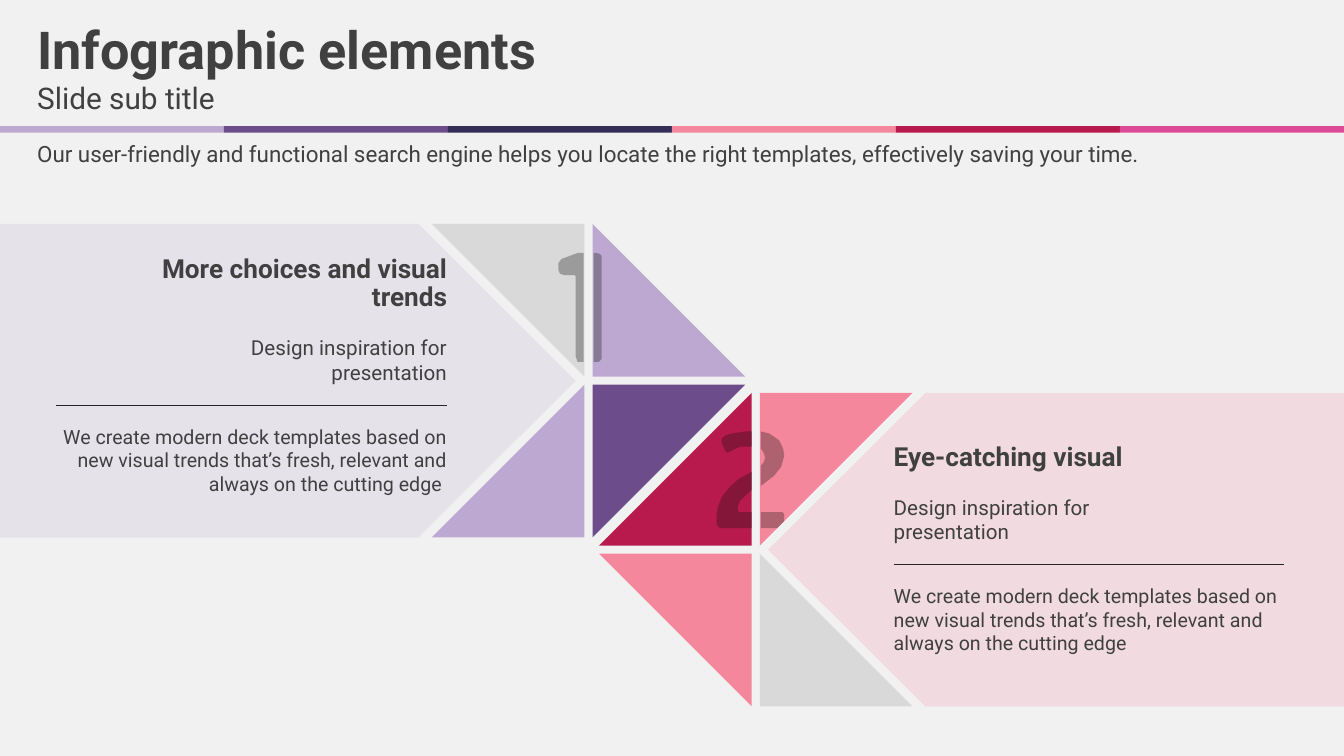
from dataclasses import dataclass

from lxml import etree
from pptx import Presentation
from pptx import util as u
from pptx.dml.color import RGBColor
from pptx.enum import shapes, text
from pptx.oxml.ns import qn


@dataclass(frozen=True)
class Theme:
    """Colours, type sizes and font of the slide."""
    font: str = "Roboto"
    paper: str = "F1F1F1"
    ink: str = "404040"
    rule: str = "262626"
    digit: str = "0D0D0D"
    grey: str = "D9D9D9"
    lilac: str = "BDA8D1"
    purple: str = "6C4C8B"
    navy: str = "342D57"
    pink: str = "F4879C"
    crimson: str = "B81A4D"
    magenta: str = "DC4997"
    title: float = 37.3
    subtitle: float = 21.3
    tagline: float = 16
    heading: float = 18.7
    lead: float = 14.7
    body: float = 14


T = Theme()
WIDTH, HEIGHT = 960, 540
SIDE, PITCH = 109, 114.8
LEFT, RIGHT = text.PP_ALIGN.LEFT, text.PP_ALIGN.RIGHT
TOP, MIDDLE = text.MSO_ANCHOR.TOP, text.MSO_ANCHOR.MIDDLE

ONE = [
    [(416.9, 180.7), (412.6, 180.7), (401, 185), (398.9, 187.9), (398.9, 193),
     (400, 195.5), (403.2, 196.6), (410.4, 196.6), (411.1, 197.3), (411.1, 254.2),
     (412.6, 258.5), (416.9, 258.5)],
    [(424.1, 180.7), (426.2, 180.7), (428.4, 181.4), (429.8, 182.9), (429.8, 256.3),
     (427.7, 258.5), (424.1, 258.5)],
]
TWO = [
    [(543.6, 365.8), (558.7, 365.8), (560.2, 367.2), (560.2, 372.2), (555.1, 377.3),
     (543.6, 377.3)],
    [(543.6, 308.2), (549.4, 309.6), (553.7, 312.5), (556.6, 314.6), (559.4, 320.4),
     (560.2, 325.4), (558, 333.4), (553, 339.8), (543.6, 347), (543.6, 332.6),
     (545.8, 329.8), (546.5, 326.9), (545.8, 324), (543.6, 320.4)],
    [(537.1, 337), (527.8, 342), (521.3, 347.8), (515.5, 355), (512.6, 362.9),
     (511.9, 367.9), (511.9, 374.4), (513.4, 376.6), (514.8, 377.3), (537.1, 377.3),
     (537.1, 365.8), (528.5, 365.8), (527, 365), (527, 361.4), (528.5, 357.8),
     (530.6, 355.7), (537.1, 349.9)],
    [(537.1, 308.2), (532.1, 308.2), (522.7, 309.6), (518.4, 311), (515.5, 313.2),
     (515.5, 316.1), (518.4, 322.6), (519.8, 323.3), (525.6, 320.4), (529.2, 319),
     (537.1, 319)],
]


def paint(sp, color, opacity=100):
    """Give a shape a plain fill without outline or shadow."""
    sp.fill.solid()
    sp.fill.fore_color.rgb = RGBColor.from_string(color)
    sp.line.fill.background()
    sp.shadow.inherit = False
    if opacity < 100:
        clr = sp._element.spPr.find(qn("a:solidFill"))[0]
        etree.SubElement(clr, qn("a:alpha")).set("val", str(opacity * 1000))


def add_outline(s, points, color, opacity=100):
    """Draw a closed polygon through points."""
    pts = [(u.Pt(x), u.Pt(y)) for x, y in points]
    fb = s.shapes.build_freeform(*pts[0], scale=1.0)
    fb.add_line_segments(pts[1:], close=True)
    paint(fb.convert_to_shape(), color, opacity)


def add_text(s, words, box, size, bold=False, align=LEFT, anchor=TOP, spacing=1.0):
    """Add a wrapped text box without insets."""
    tf = s.shapes.add_textbox(*map(u.Pt, box)).text_frame
    tf.word_wrap = True
    tf.vertical_anchor = anchor
    tf.margin_left = tf.margin_top = tf.margin_right = tf.margin_bottom = 0
    p = tf.paragraphs[0]
    p.text = words
    p.alignment = align
    p.line_spacing = spacing
    f = p.runs[0].font
    f.name, f.size, f.bold = T.font, u.Pt(size), bold
    f.color.rgb = RGBColor.from_string(T.ink)


def add_rule(s, x, y, width):
    """Draw a thin horizontal line."""
    c = s.shapes.add_connector(shapes.MSO_CONNECTOR.STRAIGHT,
                               u.Pt(x), u.Pt(y), u.Pt(x + width), u.Pt(y))
    c.line.color.rgb = RGBColor.from_string(T.rule)
    c.line.width = u.Pt(0.75)
    etree.SubElement(c._element.spPr, qn("a:effectLst"))


def add_stripe(s, colors):
    """Draw the band of equal colour bars below the header."""
    w = WIDTH / len(colors)
    for i, color in enumerate(colors):
        sp = s.shapes.add_shape(shapes.MSO_SHAPE.RECTANGLE,
                                u.Pt(i * w), u.Pt(90), u.Pt(w), u.Pt(4.8))
        paint(sp, color)


def add_panel(s, edge, shoulder, tip, top, color):
    """Draw a translucent panel pointing from the slide edge to its tip."""
    mid, bottom = top + 112, top + 224
    add_outline(s, [(edge, top), (shoulder, top), (tip, mid), (shoulder, bottom),
                    (edge, bottom)], color, 20)


def add_triangles(s, x, y, cells):
    """Draw half squares in a two by two grid, each without one corner."""
    for col, row, cut, color in cells:
        left, top = x + col * PITCH, y + row * PITCH
        corners = [(0, 0), (1, 0), (1, 1), (0, 1)]
        add_outline(s, [(left + cx * SIDE, top + cy * SIDE)
                        for cx, cy in corners if (cx, cy) != cut], color)


def add_digit(s, pieces):
    """Draw a split translucent numeral."""
    for points in pieces:
        add_outline(s, points, T.digit, 30)


def add_note(s, x, rule_y, heading, heading_box, body, align):
    """Add heading, lead, rule and body text aligned to one side."""
    width, lead_w = 279, 186.3
    lead_x = x + width - lead_w if align == RIGHT else x
    add_text(s, heading, heading_box, T.heading, True, align, spacing=0.9)
    add_text(s, "Design inspiration for presentation",
             (lead_x, rule_y - 50, lead_w, 35.3), T.lead, align=align)
    add_text(s, body, (x, rule_y + 13.7, width, 51), T.body, align=align, anchor=MIDDLE)
    add_rule(s, x, rule_y, width)


def main():
    """Build the slide and save it."""
    prs = Presentation()
    prs.slide_width, prs.slide_height = u.Pt(WIDTH), u.Pt(HEIGHT)
    s = prs.slides.add_slide(prs.slide_layouts[6])
    s.background.fill.solid()
    s.background.fill.fore_color.rgb = RGBColor.from_string(T.paper)

    add_stripe(s, [T.lilac, T.purple, T.navy, T.pink, T.crimson, T.magenta])
    add_panel(s, WIDTH, 661, 548.6, 280.7, T.pink)
    add_panel(s, 0, 299, 411.2, 160, T.lilac)

    add_text(s, "Infographic elements", (26.6, 12.2, 877, 44), T.title, True)
    add_text(s, "Slide sub title", (26.6, 56.9, 877, 30), T.subtitle)
    add_text(s, "Our user-friendly and functional search engine helps you locate the right "
             "templates, effectively saving your time.",
             (26.6, 100, 885, 19.4), T.tagline, anchor=MIDDLE)

    body = ("We create modern deck templates based on new visual trends that’s fresh, "
            "relevant and always on the cutting edge")
    add_note(s, 40.2, 289.4, "More choices and visual trends",
             (79.4, 182.9, 240, 41), body + " ", RIGHT)
    add_note(s, 638.4, 403.2, "Eye-catching visual",
             (638.4, 317.2, 294, 20.2), body, LEFT)

    add_triangles(s, 308.5, 160, [(1, 0, (1, 0), T.lilac), (1, 1, (1, 1), T.purple),
                                  (0, 1, (0, 0), T.lilac), (0, 0, (0, 1), T.grey)])
    add_digit(s, ONE)
    add_triangles(s, 427.9, 280.7, [(0, 0, (0, 0), T.crimson), (0, 1, (0, 1), T.pink),
                                    (1, 1, (1, 0), T.grey), (1, 0, (1, 1), T.pink)])
    add_digit(s, TWO)
    prs.save("out.pptx")


if __name__ == "__main__":
    main()
